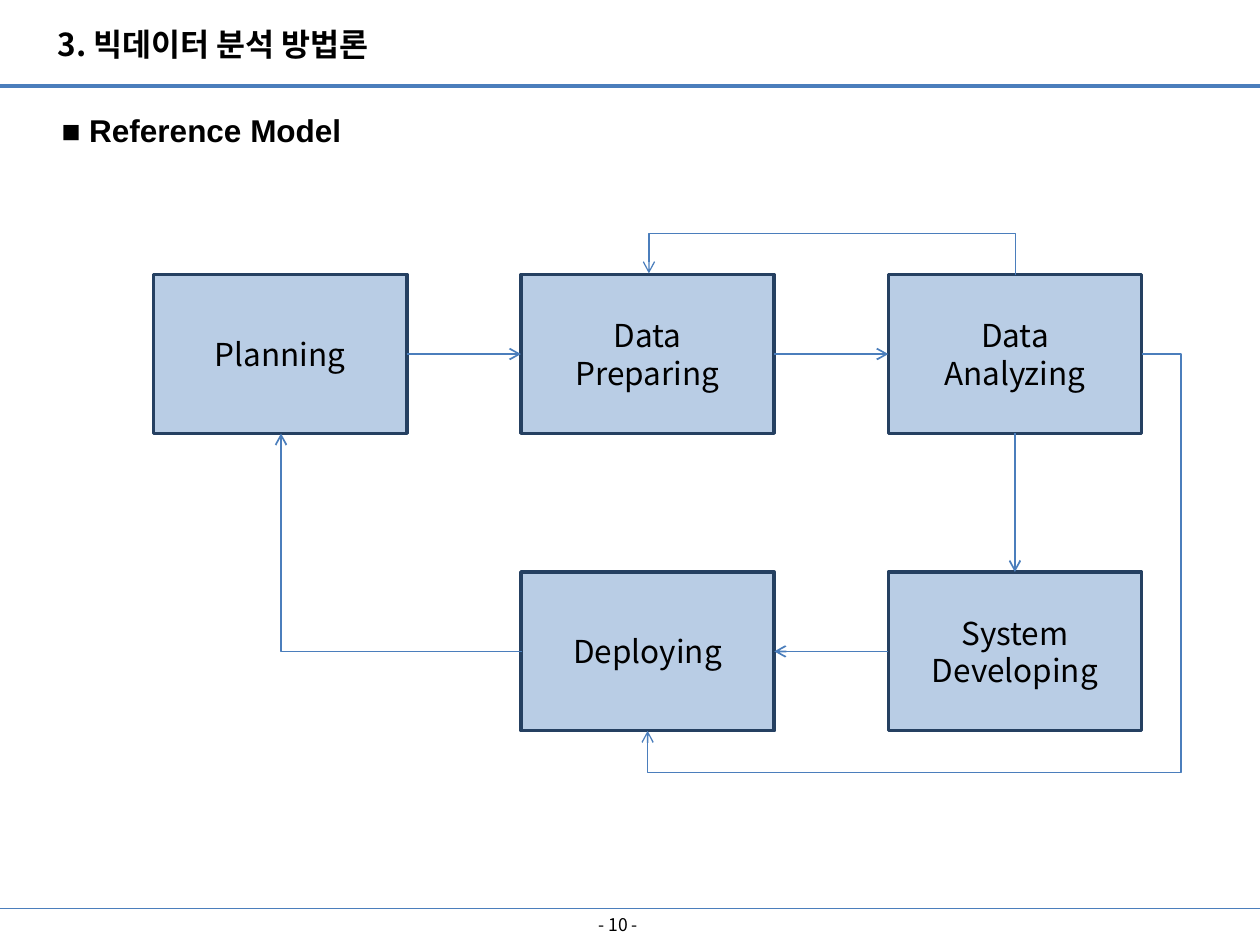
from pptx import Presentation
from pptx import util as u
from pptx.dml.color import RGBColor
from pptx.enum import shapes, text
from pptx.oxml import parse_xml
from pptx.oxml.ns import nsdecls, qn

COLUMNS, ROWS = 100, 75  # grid of the slide
CELL = u.Inches(0.1)
TOP, LEFT, BOTTOM, RIGHT = range(4)


def color(code):
    return RGBColor.from_string(code)


def cells(*values):
    return [round(value * CELL) for value in values]


def write(shape, content, size=18, font="Noto Sans CJK KR", bold=False, align="LEFT",
          anchor="TOP", spacing=1.0):
    """Fill a shape with one paragraph per line of content."""
    frame = shape.text_frame
    frame.word_wrap = True
    frame.vertical_anchor = getattr(text.MSO_ANCHOR, anchor)
    frame.text = content
    for paragraph in frame.paragraphs:
        paragraph.alignment = getattr(text.PP_ALIGN, align)
        paragraph.line_spacing = spacing
        run = paragraph.runs[0]
        run.font.size = u.Pt(size)
        run.font.name = font
        run.font.bold = bold
        run.font.color.rgb = color("000000")
        latin = run.font._element.find(qn("a:latin"))
        latin.addnext(parse_xml(f'<a:ea {nsdecls("a")} typeface="{font}"/>'))


class Board:
    """Style and current slide; lengths are grid cells."""
    accent, fill, border = "4B7EBC", "B9CDE5", "254061"

    def __init__(self, presentation):
        presentation.slide_width, presentation.slide_height = cells(COLUMNS, ROWS)
        self.slide = presentation.slides.add_slide(presentation.slide_layouts[6])

    def label(self, content, at, **style):
        write(self.slide.shapes.add_textbox(*cells(*at)), content, **style)

    def box(self, content, column, row):
        shape = self.slide.shapes.add_shape(
            shapes.MSO_SHAPE.RECTANGLE,
            *cells(12.2 + 29.15 * column, 21.8 + 23.6 * row, 20.1, 12.6))
        shape.shadow.inherit = False
        shape.fill.solid()
        shape.fill.fore_color.rgb = color(self.fill)
        shape.line.color.rgb = color(self.border)
        shape.line.width = u.Pt(2)
        write(shape, content, align="CENTER", anchor="MIDDLE")
        return shape

    def connector(self, kind, start, end, width, arrow=True):
        line = self.slide.shapes.add_connector(kind, *cells(*start, *end))
        line.line.color.rgb = color(self.accent)
        line.line.width = u.Pt(width)
        if arrow:
            line.line._get_or_add_ln().append(
                parse_xml(f'<a:tailEnd {nsdecls("a")} type="arrow"/>'))
        line._element.spPr.append(parse_xml(f'<a:effectLst {nsdecls("a")}/>'))
        return line

    def rule(self, row, width):
        self.connector(shapes.MSO_CONNECTOR.STRAIGHT, (0, row), (COLUMNS, row), width, False)

    def arrow(self, source, source_side, target, target_side):
        line = self.connector(shapes.MSO_CONNECTOR.STRAIGHT, (0, 0), (1, 1), 1)
        line.begin_connect(source, source_side)
        line.end_connect(target, target_side)

    def elbow(self, preset, at, width, rotation=0, flip=None, bends=()):
        """Bent arrow; at is its frame before rotation, bends are shares of it."""
        left, top, wide, high = at
        line = self.connector(shapes.MSO_CONNECTOR.ELBOW, (left, top),
                              (left + wide, top + high), width)
        properties = line._element.spPr
        frame = properties.find(qn("a:xfrm"))
        if rotation:
            frame.set("rot", str(rotation * 60000))
        if flip:
            frame.set(flip, "1")
        guides = "".join(f'<a:gd name="adj{number if len(bends) > 1 else 1}" '
                         f'fmla="val {round(bend * 100000)}"/>'
                         for number, bend in enumerate(bends, 1))
        properties.replace(properties.find(qn("a:prstGeom")), parse_xml(
            f'<a:prstGeom {nsdecls("a")} prst="{preset}"><a:avLst>{guides}</a:avLst>'
            '</a:prstGeom>'))


def main():
    presentation = Presentation()
    board = Board(presentation)

    # Header and footer
    board.rule(6.8, 2.25)
    board.rule(72.1, 0.75)
    board.label("■ Reference Model", (3.9, 6.8, 95, 5.6), font="Arial", bold=True, spacing=1.5)
    board.label("3. 빅데이터 분석 방법론", (3.6, 1.5, 29.5, 4), bold=True)
    board.label("- 10 -", (37.4, 72.1, 23.3, 2.6), size=10, align="CENTER", anchor="MIDDLE")

    # Steps of the model
    planning = board.box("Planning", 0, 0)
    analyzing = board.box("Data\nAnalyzing", 2, 0)
    preparing = board.box("Data\nPreparing", 1, 0)
    developing = board.box("System\nDeveloping", 2, 1)
    deploying = board.box("Deploying", 1, 1)

    # Main flow
    board.arrow(planning, RIGHT, preparing, LEFT)
    board.arrow(preparing, RIGHT, analyzing, LEFT)
    board.arrow(analyzing, BOTTOM, developing, TOP)
    board.arrow(developing, LEFT, deploying, RIGHT)

    # Deploying to Planning, Analyzing to Preparing, Analyzing to Deploying
    board.elbow("bentConnector2", (22.3, 34.4, 19.1, 17.3), 1, rotation=180)
    board.elbow("bentConnector3", (66, 7.2, 0.1, 29.1), 0.75, rotation=270, flip="flipV",
                bends=(33,))
    board.elbow("bentConnector4", (51.4, 28.1, 39.2, 29.9), 0.75, flip="flipH",
                bends=(-0.08, 1.11))

    presentation.save("out.pptx")


if __name__ == "__main__":
    main()
